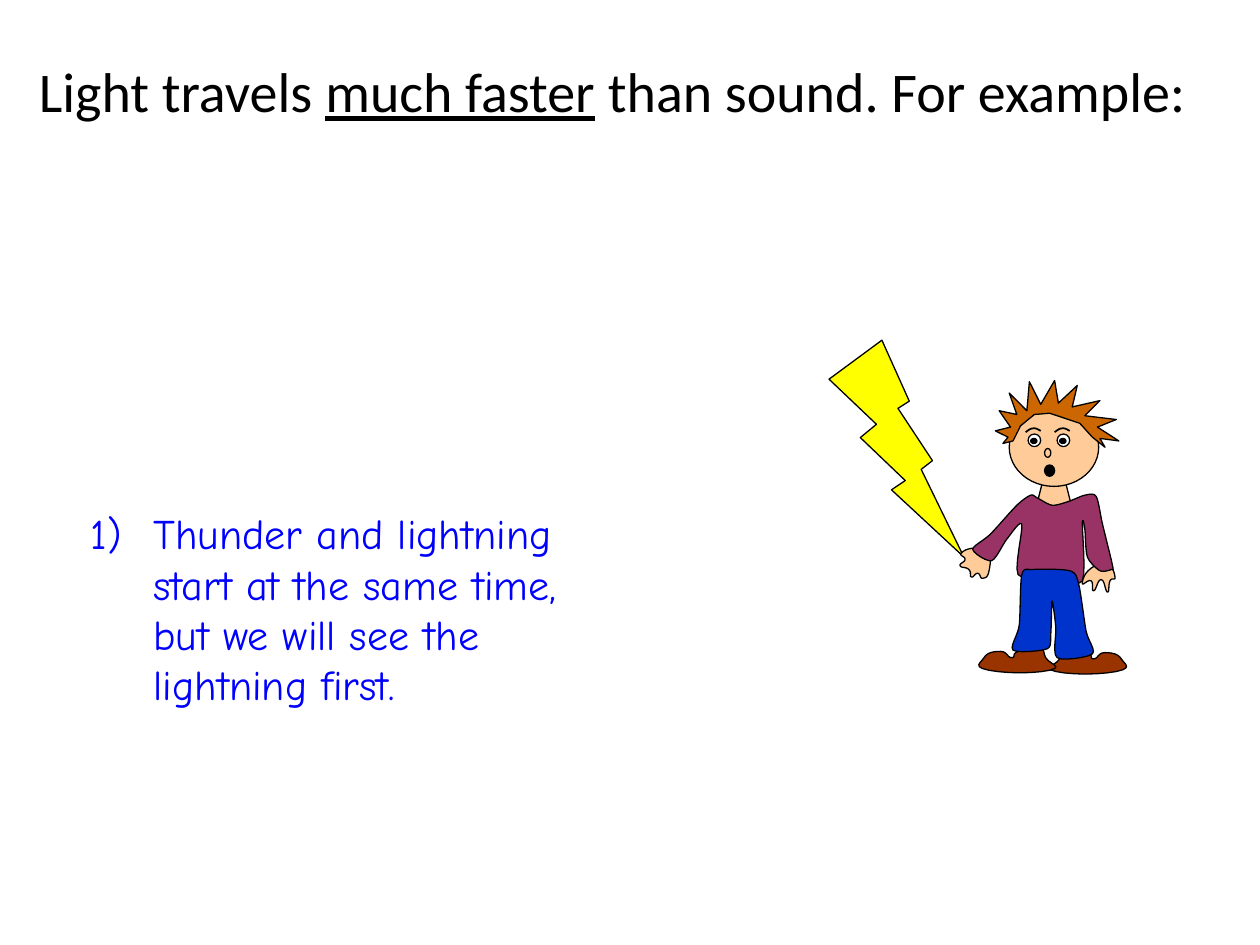
from lxml.etree import SubElement
from pptx import Presentation
from pptx.dml.color import RGBColor
from pptx.enum.shapes import MSO_SHAPE as Preset
from pptx.oxml.ns import qn
from pptx.util import Emu, Inches, Pt

BLACK = RGBColor(0, 0, 0)
WHITE = RGBColor(255, 255, 255)
BLUE = RGBColor(0, 0, 255)
YELLOW = RGBColor(255, 255, 0)
SKIN = RGBColor(0xFF, 0xCC, 0x99)
SHIRT = RGBColor(0x99, 0x33, 0x66)
TROUSERS = RGBColor(0, 0x33, 0xCC)
LEATHER = RGBColor(0x99, 0x33, 0)
HAIR = RGBColor(0xCC, 0x66, 0)

TITLE = [("Light travels ", False), ("much faster", True), (" than sound. For example:", False)]
POINT = [("Thunder and lightning start at the same time, but we will see the lightning first.", False)]

UNIT = Inches(0.01)
CURVE_STEPS = 6
EYE_GAP = 23
SHOE_MIRROR = 1671

RIGHT_SHOE = [(863, 518), (868, 523), (877, 518), (890, 523), (886, 533), (838, 533), (841, 523), (847, 515)]
RIGHT_HAND = [(879, 449), (885, 458), (881, 461), (879, 470), (874, 460), (868, 469), (866, 461),
              (859, 463), (866, 451)]
LEFT_HAND = [(774, 435), (763, 439), (766, 444), (762, 449), (769, 452), (771, 458), (776, 455),
             (780, 459), (785, 453), (784, 438)]
JUMPER = [(823, 395), (835, 401), (848, 398), (861, 393), (870, 394), (875, 416), (883, 449), (882, 452),
          (873, 453), (863, 442), (861, 420), (859, 415), (859, 461), (836, 456), (808, 456), (811, 416),
          (799, 428), (787, 445), (772, 436), (786, 424), (807, 401), (818, 393)]
LEGS = [(811, 456), (809, 496), (804, 516), (831, 515), (834, 503), (835, 477), (838, 498), (839, 522),
        (867, 519), (862, 501), (856, 463), (849, 453), (820, 452)]
EYEBROW = [(814, 343), (820, 340), (826, 342)]
SPIKES = [(804, 350), (796, 352), (800, 347), (790, 342), (802, 339), (793, 326), (807, 329), (801, 312),
          (815, 326), (817, 303), (826, 321), (837, 302), (840, 320), (855, 306), (851, 323), (873, 318),
          (861, 330), (886, 333), (871, 339), (888, 350), (873, 348), (877, 355), (867, 347), (857, 336),
          (833, 328), (821, 329), (810, 338)]


def curve_points(points, closed, tension):
    count = len(points)

    def at(index):
        return points[index % count] if closed else points[max(0, min(index, count - 1))]

    result = [points[0]]
    for index in range(count if closed else count - 1):
        before, start, end, after = (at(index + offset) for offset in (-1, 0, 1, 2))
        for step in range(1, CURVE_STEPS + 1):
            t = step / CURVE_STEPS
            blend = t * t * (3 - 2 * t)
            leave, arrive = tension * t * (1 - t) ** 2, tension * t * t * (1 - t)
            result.append(tuple(a + (b - a) * blend + (b - p) * leave - (n - a) * arrive
                                for p, a, b, n in zip(before, start, end, after)))
    return [(x * UNIT, y * UNIT) for x, y in result]


def paint(shape, fill, width=0.75):
    shape.shadow.inherit = False
    if fill is None:
        shape.fill.background()
    else:
        shape.fill.solid()
        shape.fill.fore_color.rgb = fill
    shape.line.color.rgb = BLACK
    shape.line.width = Pt(width)


def add_outline(group, points, fill, tension=0.4):
    closed = fill is not None
    first, *others = curve_points(points, closed, tension)
    builder = group.shapes.build_freeform(*first, scale=1.0)
    builder.add_line_segments(others, close=closed)
    paint(builder.convert_to_shape(), fill, 0.75 if closed else 1)


def add_preset(group, preset, box, fill):
    paint(group.shapes.add_shape(preset, *(Emu(int(n * UNIT)) for n in box)), fill)


def add_text(slide, runs, box, size, font, color, numbered=False):
    frame = slide.shapes.add_textbox(*map(Inches, box)).text_frame
    frame.word_wrap = True
    paragraph = frame.paragraphs[0]
    if numbered:
        properties = paragraph._p.get_or_add_pPr()
        properties.set("marL", str(Inches(0.5)))
        properties.set("indent", str(-Inches(0.5)))
        SubElement(properties, qn("a:buFont"), typeface=font)
        SubElement(properties, qn("a:buAutoNum"), type="arabicParenR")
    for text, underlined in runs:
        run = paragraph.add_run()
        run.text = text
        run.font.size, run.font.name, run.font.underline = Pt(size), font, underlined
        run.font.color.rgb = color


presentation = Presentation()
presentation.slide_width, presentation.slide_height = Inches(10), Inches(7.5)
slide = presentation.slides.add_slide(presentation.slide_layouts[6])
add_text(slide, TITLE, (0.21, 0.4, 9.55, 1.11), 32, "Calibri", BLACK)
add_text(slide, POINT, (0.62, 3.98, 4.36, 2.64), 24, "Comic Neue", BLUE, numbered=True)

figure = slide.shapes.add_group_shape()
add_preset(figure, Preset.LIGHTNING_BOLT, (658, 270, 107, 172), YELLOW)
left_shoe = [(SHOE_MIRROR - x, y - 1) for x, y in RIGHT_SHOE]
for points, fill in [(RIGHT_SHOE, LEATHER), (left_shoe, LEATHER), (RIGHT_HAND, SKIN), (LEFT_HAND, SKIN)]:
    add_outline(figure, points, fill, 0.8)
add_preset(figure, Preset.TRAPEZOID, (822, 383, 29, 21), SKIN)
add_preset(figure, Preset.OVAL, (801, 324, 71, 62), SKIN)
for shift in (0, EYE_GAP):
    add_preset(figure, Preset.OVAL, (816 + shift, 344.5, 10, 10), WHITE)
    add_preset(figure, Preset.OVAL, (818 + shift, 348, 5, 4), BLACK)
add_preset(figure, Preset.OVAL, (829, 356, 5, 7), SKIN)
add_outline(figure, JUMPER, SHIRT)
add_outline(figure, LEGS, TROUSERS)
for shift in (0, EYE_GAP):
    add_outline(figure, [(x + shift, y) for x, y in EYEBROW], None, 0.8)
add_preset(figure, Preset.OVAL, (829, 369, 8, 9), BLACK)
add_outline(figure, SPIKES, HAIR, 0)
presentation.save("out.pptx")
